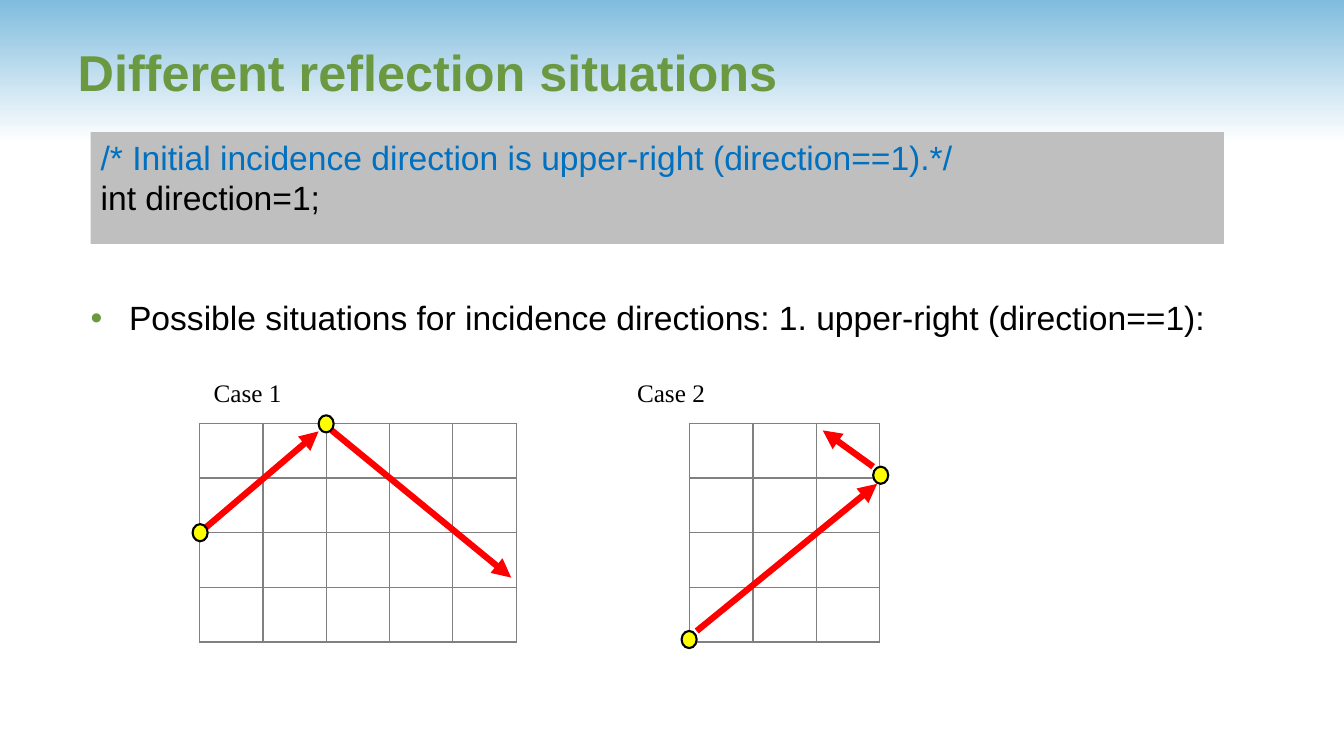
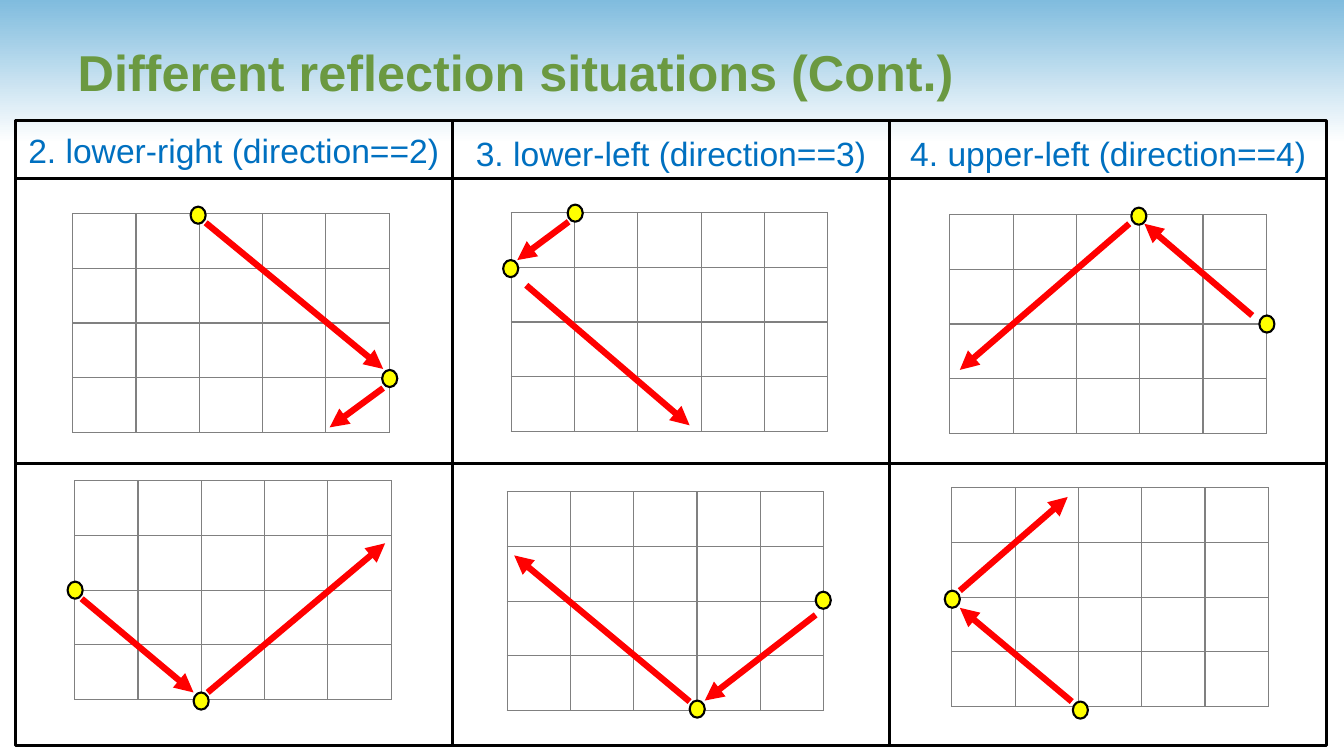
"""Build two slides on how a ball reflects inside a grid."""
from dataclasses import dataclass

from lxml import etree
from pptx import Presentation
from pptx.dml.color import RGBColor
from pptx.enum.shapes import MSO_CONNECTOR, MSO_SHAPE
from pptx.enum.text import MSO_ANCHOR, MSO_AUTO_SIZE, PP_ALIGN
from pptx.oxml.ns import qn
from pptx.slide import Slide
from pptx.util import Inches, Pt

RECT, OVAL = MSO_SHAPE.RECTANGLE, MSO_SHAPE.OVAL
STRAIGHT = MSO_CONNECTOR.STRAIGHT
TOP, MIDDLE = MSO_ANCHOR.TOP, MSO_ANCHOR.MIDDLE
LEFT, CENTER = PP_ALIGN.LEFT, PP_ALIGN.CENTER
NO_FIT = MSO_AUTO_SIZE.NONE

COLORS = {
    "sky": "80BCDE",
    "white": "FFFFFF",
    "green": "6B9941",
    "blue": "0070C0",
    "black": "000000",
    "silver": "BFBFBF",
    "grid": "808080",
    "red": "FF0000",
    "yellow": "FFFF00",
}
SANS, SERIF = "Arial", "Times New Roman"
SLIDE_W, SLIDE_H = 13.33, 7.5
CELL_W, CELL_H, GRID_ROWS = 3.14 / 5, 2.17 / 4, 4
DOT_W, DOT_H = 0.15, 0.17
PANEL_LEFT, PANEL_TOP, PANEL_W, PANEL_H = 0.15, 1.2, 13.01 / 3, 6.2

Point = tuple[float, float]
Box = tuple[float, float, float, float]


@dataclass(frozen=True)
class Arrow:
    start: Point
    end: Point


@dataclass(frozen=True)
class Bounce:
    corner: Point
    arrows: tuple[Arrow, Arrow]
    dots: tuple[Point, Point]
    cols: int = 5


@dataclass(frozen=True)
class Label:
    text: str
    left: float
    top: float


CASES = [
    Bounce((1.98, 4.2),
           (Arrow((1.94, 5.32), (3.16, 4.28)), Arrow((3.29, 4.27), (5.07, 5.73))),
           ((1.91, 5.2), (3.16, 4.12))),
    Bounce((6.84, 4.2),
           (Arrow((6.91, 6.26), (8.7, 4.8)), Arrow((8.66, 4.63), (8.16, 4.27))),
           ((8.66, 4.63), (6.76, 6.26)), cols=3),
]
CASE_LABELS = [Label("Case 1", 2.02, 3.69), Label("Case 2", 6.22, 3.69)]

DIRECTIONS = [
    Bounce((0.72, 2.12),
           (Arrow((3.8, 3.85), (3.27, 4.24)), Arrow((2.04, 2.21), (3.8, 3.66))),
           ((3.79, 3.67), (1.89, 2.05))),
    Bounce((0.74, 4.77),
           (Arrow((0.81, 5.94), (1.92, 6.87)), Arrow((2.06, 6.87), (3.82, 5.39))),
           ((0.67, 5.77), (1.92, 6.87))),
    Bounce((5.07, 2.11),
           (Arrow((5.22, 2.83), (6.84, 4.22)), Arrow((5.64, 2.2), (5.13, 2.58))),
           ((4.99, 2.58), (5.63, 2.03))),
    Bounce((5.03, 4.88),
           (Arrow((8.09, 6.1), (6.99, 6.95)), Arrow((6.84, 6.96), (5.1, 5.51))),
           ((6.84, 6.95), (8.09, 5.87))),
    Bounce((9.42, 2.13),
           (Arrow((12.42, 3.13), (11.35, 2.22)), Arrow((11.2, 2.22), (9.52, 3.67))),
           ((11.22, 2.06), (12.49, 3.13))),
    Bounce((9.44, 4.84),
           (Arrow((9.52, 5.86), (10.59, 4.93)), Arrow((10.63, 6.96), (9.52, 6.03))),
           ((10.64, 6.96), (9.37, 5.86))),
]
PANEL_LABELS = [
    Label("2. lower-right (direction==2)", PANEL_LEFT, 1.24),
    Label("3. lower-left (direction==3)", PANEL_LEFT + PANEL_W, 1.27),
    Label("4. upper-left (direction==4)", PANEL_LEFT + 2 * PANEL_W, 1.27),
]


def rgb(name: str) -> RGBColor:
    return RGBColor.from_string(COLORS[name])


def place(sp, box: Box) -> None:
    sp.left, sp.top, sp.width, sp.height = map(Inches, box)


def format_runs(p, size: float, color: str, font: str = SANS,
                bold: bool = False, align=LEFT) -> None:
    p.alignment = align
    for r in p.runs:
        r.font.size = Pt(size)
        r.font.name = font
        r.font.bold = bold
        r.font.color.rgb = rgb(color)


def add_shape(slide: Slide, kind, box: Box, fill: str | None = None,
              line: str | None = None, weight: float = 1):
    sp = slide.shapes.add_shape(kind, *map(Inches, box))
    sp.shadow.inherit = False
    if fill:
        sp.fill.solid()
        sp.fill.fore_color.rgb = rgb(fill)
    else:
        sp.fill.background()
    if line:
        sp.line.color.rgb = rgb(line)
        sp.line.width = Pt(weight)
    else:
        sp.line.fill.background()
    return sp


def add_line(slide: Slide, start: Point, end: Point, color: str,
             weight: float, arrow: bool = False) -> None:
    sp = slide.shapes.add_connector(STRAIGHT, *map(Inches, start + end))
    sp.line.color.rgb = rgb(color)
    sp.line.width = Pt(weight)
    spPr = sp.element.spPr
    if arrow:
        etree.SubElement(spPr.find(qn("a:ln")), qn("a:tailEnd"), type="triangle")
    etree.SubElement(spPr, qn("a:effectLst"))


def add_label(slide: Slide, label: Label, width: float, height: float,
              size: float, color: str, font: str, align) -> None:
    sp = slide.shapes.add_textbox(
        *map(Inches, (label.left, label.top, width, height)))
    tf = sp.text_frame
    tf.word_wrap = True
    tf.text = label.text
    format_runs(tf.paragraphs[0], size, color, font, align=align)


def add_grid(slide: Slide, corner: Point, cols: int) -> None:
    frame = slide.shapes.add_table(
        GRID_ROWS, cols,
        *map(Inches, corner + (cols * CELL_W, GRID_ROWS * CELL_H)))
    table = frame.table
    table.first_row = table.horz_banding = False
    for col in table.columns:
        col.width = Inches(CELL_W)
    for row in table.rows:
        row.height = Inches(CELL_H)
    for cell in table.iter_cells():
        tcPr = cell._tc.get_or_add_tcPr()
        for side in ("lnL", "lnR", "lnT", "lnB"):
            ln = etree.SubElement(tcPr, qn(f"a:{side}"), w=str(Pt(1)))
            fill = etree.SubElement(ln, qn("a:solidFill"))
            etree.SubElement(fill, qn("a:srgbClr"), val=COLORS["grid"])
        cell.fill.background()


def add_bounce(slide: Slide, bounce: Bounce) -> None:
    add_grid(slide, bounce.corner, bounce.cols)
    for arrow in bounce.arrows:
        add_line(slide, arrow.start, arrow.end, "red", 4.5, arrow=True)
    for dot in bounce.dots:
        add_shape(slide, OVAL, dot + (DOT_W, DOT_H), "yellow", "black", 1.5)


def add_titled_slide(prs, layout: int, title: str) -> Slide:
    slide = prs.slides.add_slide(prs.slide_layouts[layout])
    sp = slide.shapes.title
    place(sp, (0.67, 0.08, 12.31, 1.25))
    tf = sp.text_frame
    tf.text = title
    tf.vertical_anchor = MIDDLE
    tf.auto_size = NO_FIT
    format_runs(tf.paragraphs[0], 36, "green", bold=True)
    return slide


def add_master_band(prs, slide: Slide) -> None:
    band = add_shape(slide, RECT, (0, 0, SLIDE_W, 1.42))
    band.fill.gradient()
    band.fill.gradient_angle = 270
    for stop, color in zip(band.fill.gradient_stops, ("sky", "white")):
        stop.color.rgb = rgb(color)
    prs.slide_master.shapes.element.insert(2, band.element)


def add_code(slide: Slide) -> None:
    sp = add_shape(slide, RECT, (0.9, 1.31, 11.24, 1.11), "silver")
    tf = sp.text_frame
    tf.vertical_anchor = TOP
    tf.text = ("/* Initial incidence direction is upper-right (direction==1).*/\n"
               "int direction=1;")
    for p, color in zip(tf.paragraphs, ("blue", "black")):
        format_runs(p, 24, color)


def fill_body(slide: Slide) -> None:
    sp = slide.placeholders[1]
    place(sp, (0.8, 2.9, 12.11, 0.84))
    tf = sp.text_frame
    tf.text = ("Possible situations for incidence directions: "
               "1. upper-right (direction==1):")
    tf.auto_size = NO_FIT
    p = tf.paragraphs[0]
    pPr = p._p.get_or_add_pPr()
    pPr.set("marL", str(Inches(0.38)))
    pPr.set("indent", str(-Inches(0.38)))
    color = etree.SubElement(pPr, qn("a:buClr"))
    etree.SubElement(color, qn("a:srgbClr"), val=COLORS["green"])
    etree.SubElement(pPr, qn("a:buFont"), typeface=SANS)
    etree.SubElement(pPr, qn("a:buChar"), char="•")
    p.space_before = Pt(0)
    format_runs(p, 24, "black")


def build_cases(prs) -> None:
    slide = add_titled_slide(prs, 1, "Different reflection situations")
    add_master_band(prs, slide)
    add_code(slide)
    fill_body(slide)
    for bounce in CASES:
        add_bounce(slide, bounce)
    for label in CASE_LABELS:
        add_label(slide, label, 0.9, 0.4, 18, "black", SERIF, LEFT)


def build_directions(prs) -> None:
    slide = add_titled_slide(prs, 5, "Different reflection situations (Cont.)")
    for label in PANEL_LABELS:
        add_shape(slide, RECT, (label.left, PANEL_TOP, PANEL_W, PANEL_H),
                  line="black", weight=2.25)
        add_label(slide, label, PANEL_W, 0.5, 24, "blue", SANS, CENTER)
    for y in (1.77, 4.6):
        add_line(slide, (PANEL_LEFT, y), (PANEL_LEFT + 3 * PANEL_W, y),
                 "black", 2.25)
    for bounce in DIRECTIONS:
        add_bounce(slide, bounce)


def main() -> None:
    prs = Presentation()
    prs.slide_width, prs.slide_height = Inches(SLIDE_W), Inches(SLIDE_H)
    build_cases(prs)
    build_directions(prs)
    prs.save("out.pptx")


if __name__ == "__main__":
    main()
